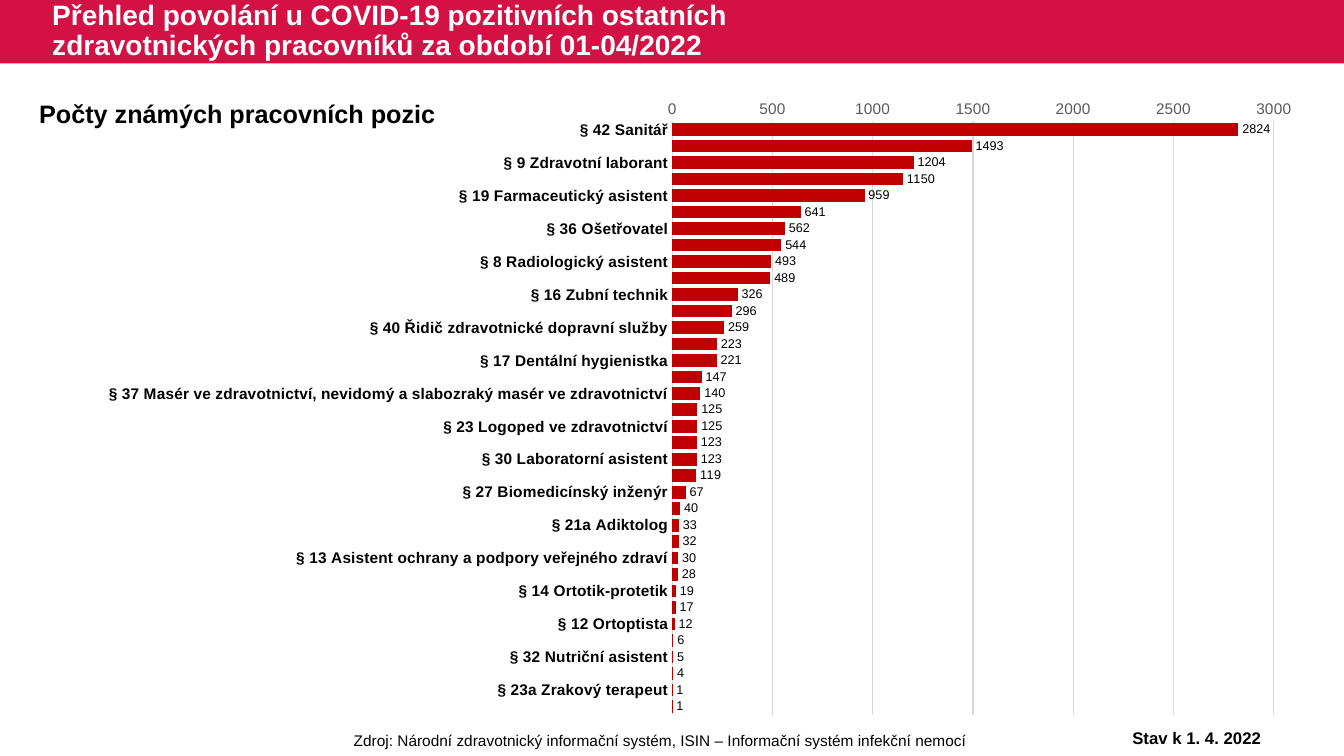
from lxml import etree
from pptx import Presentation
from pptx.chart.data import CategoryChartData
from pptx.dml.color import RGBColor
from pptx.enum.chart import XL_CHART_TYPE, XL_LABEL_POSITION, XL_TICK_MARK
from pptx.enum.shapes import MSO_SHAPE
from pptx.enum.text import MSO_ANCHOR, PP_ALIGN
from pptx.oxml import parse_xml
from pptx.oxml.ns import nsdecls, qn
from pptx.util import Inches, Pt

BAR_CLUSTERED, OUTSIDE_END = XL_CHART_TYPE.BAR_CLUSTERED, XL_LABEL_POSITION.OUTSIDE_END
RECTANGLE = MSO_SHAPE.RECTANGLE
LEFT, CENTER = PP_ALIGN.LEFT, PP_ALIGN.CENTER
TOP, MIDDLE = MSO_ANCHOR.TOP, MSO_ANCHOR.MIDDLE
NO_TICK = XL_TICK_MARK.NONE
COLORS = {"band": "D31145", "bar": "C00000", "text": "000000",
          "scale": "595959", "grid": "D9D9D9", "white": "FFFFFF"}

# Every second bar carries a label
POSITIONS = [
    "§ 42 Sanitář",
    "§ 9 Zdravotní laborant",
    "§ 19 Farmaceutický asistent",
    "§ 36 Ošetřovatel",
    "§ 8 Radiologický asistent",
    "§ 16 Zubní technik",
    "§ 40 Řidič zdravotnické dopravní služby",
    "§ 17 Dentální hygienistka",
    "§ 37 Masér ve zdravotnictví, nevidomý a slabozraký masér ve zdravotnictví",
    "§ 23 Logoped ve zdravotnictví",
    "§ 30 Laboratorní asistent",
    "§ 27 Biomedicínský inženýr",
    "§ 21a Adiktolog",
    "§ 13 Asistent ochrany a podpory veřejného zdraví",
    "§ 14 Ortotik-protetik",
    "§ 12 Ortoptista",
    "§ 32 Nutriční asistent",
    "§ 23a Zrakový terapeut",
]
COUNTS = [2824, 1493, 1204, 1150, 959, 641, 562, 544, 493, 489, 326, 296,
          259, 223, 221, 147, 140, 125, 125, 123, 123, 119, 67, 40,
          33, 32, 30, 28, 19, 17, 12, 6, 5, 4, 1, 1]


def set_font(font, size, color, bold=False):
    font.name = "Arial"
    font.size = Pt(size)
    font.bold = bold
    font.color.rgb = RGBColor.from_string(COLORS[color])


def add_text(text, box, size, color="text", bold=False, align=LEFT, anchor=TOP, wrap=True):
    tf = slide.shapes.add_textbox(*[Inches(v) for v in box]).text_frame
    tf.word_wrap = wrap
    tf.vertical_anchor = anchor
    p = tf.paragraphs[0]
    p.text = text
    p.alignment = align
    set_font(p.runs[0].font, size, color, bold)
    return p


prs = Presentation()
prs.slide_width, prs.slide_height = Inches(13.33), Inches(7.5)
slide = prs.slides.add_slide(prs.slide_layouts[6])

# Title band
band = slide.shapes.add_shape(RECTANGLE, 0, 0, prs.slide_width, Inches(0.63))
band.shadow.inherit = False
band.fill.solid()
band.fill.fore_color.rgb = RGBColor.from_string(COLORS["band"])
band.line.fill.background()

# Bar chart of positions
data = CategoryChartData()
data.categories = [label for name in POSITIONS for label in (name, "")]
data.add_series("", COUNTS)
chart = slide.shapes.add_chart(BAR_CLUSTERED, Inches(0.04), Inches(0.8),
                               Inches(12.97), Inches(6.42), data).chart
chart.has_legend = False
chart.has_title = False
set_font(chart.font, 10, "text")

plot = chart.plots[0]
plot.gap_width = 30
plot.overlap = 100
plot.vary_by_categories = False
fill = plot.series[0].format.fill
fill.solid()
fill.fore_color.rgb = RGBColor.from_string(COLORS["bar"])

plot.has_data_labels = True
labels = plot.data_labels
labels.show_value = True
labels.position = OUTSIDE_END
set_font(labels.font, 9, "text")

# Axes
cat_axis, val_axis = chart.category_axis, chart.value_axis
for axis in (cat_axis, val_axis):
    axis.major_tick_mark = axis.minor_tick_mark = NO_TICK
cat_axis.reverse_order = True
set_font(cat_axis.tick_labels.font, 11, "text", bold=True)
set_font(val_axis.tick_labels.font, 11, "scale")
val_axis.minimum_scale, val_axis.maximum_scale, val_axis.major_unit = 0, 3000, 500
val_axis.has_major_gridlines = True
val_axis.format.line.fill.background()
for line in (cat_axis.format.line, val_axis.major_gridlines.format.line):
    line.color.rgb = RGBColor.from_string(COLORS["grid"])
    line.width = Pt(0.75)

# Fixed inner plot area
plot_area = chart._chartSpace.chart.plotArea
for old in plot_area.findall(qn("c:layout")):
    plot_area.remove(old)
layout = parse_xml(f"<c:layout {nsdecls('c')}><c:manualLayout/></c:layout>")
for tag, val in [("layoutTarget", "inner"), ("xMode", "edge"), ("yMode", "edge"),
                 ("x", "0.511"), ("y", "0.063"), ("w", "0.46"), ("h", "0.917")]:
    etree.SubElement(layout[0], qn(f"c:{tag}")).set("val", val)
plot_area.insert(0, layout)

# Texts
add_text("Zdroj: Národní zdravotnický informační systém, ISIN – Informační systém infekční nemocí",
         (2.36, 7.2, 8.38, 0.29), 11, align=CENTER)
title = add_text("Přehled povolání u COVID-19 pozitivních ostatních "
                 "zdravotnických pracovníků za období 01-04/2022",
                 (0.42, 0, 8.26, 0.63), 20, "white", bold=True, anchor=MIDDLE)
title.line_spacing = 0.9
add_text("Počty známých pracovních pozic", (0.29, 0.93, 4.16, 0.4), 18, bold=True, wrap=False)
add_text("Stav k 1. 4. 2022", (10.77, 7.17, 2.2, 0.3), 12, bold=True, align=CENTER)

prs.save("out.pptx")
